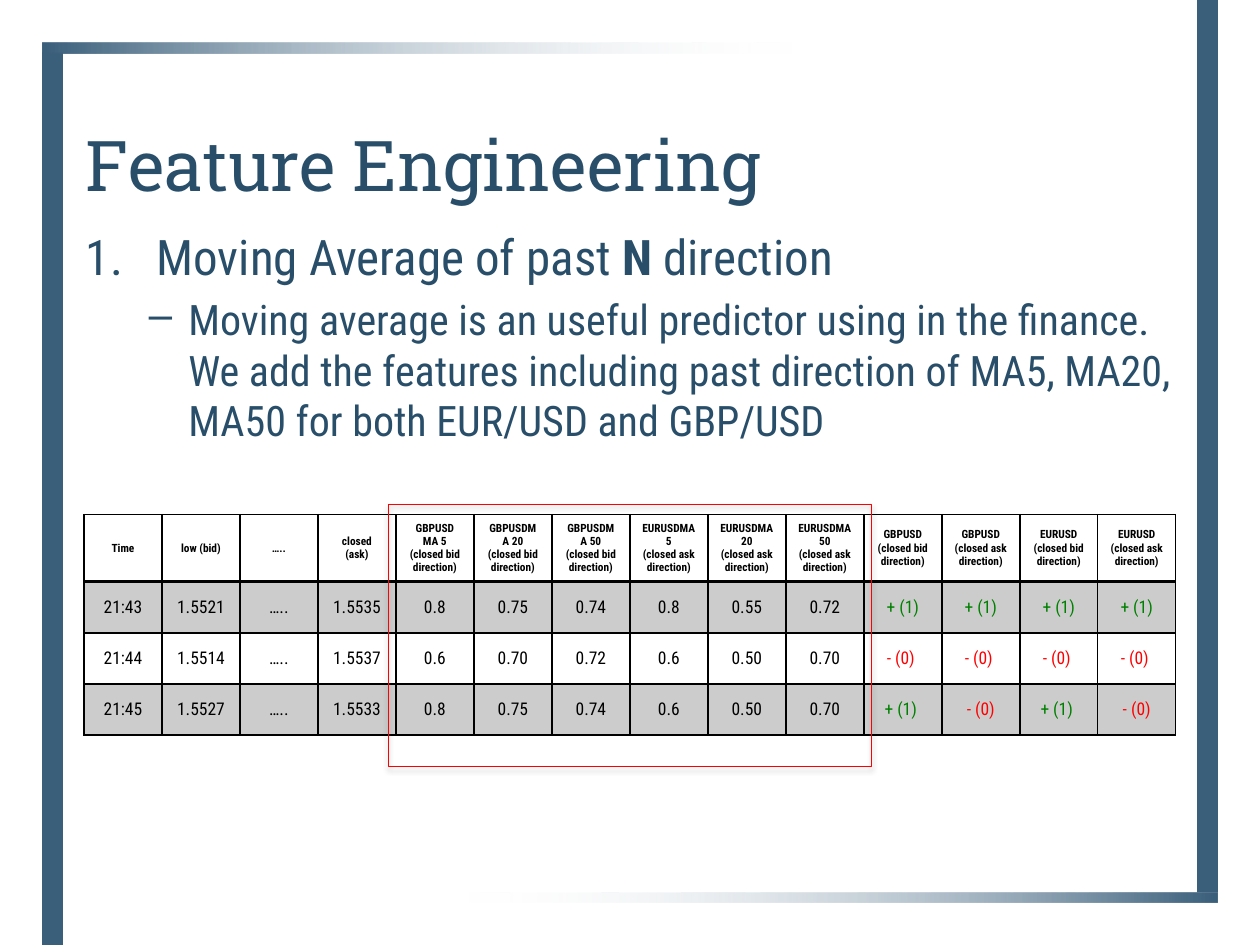
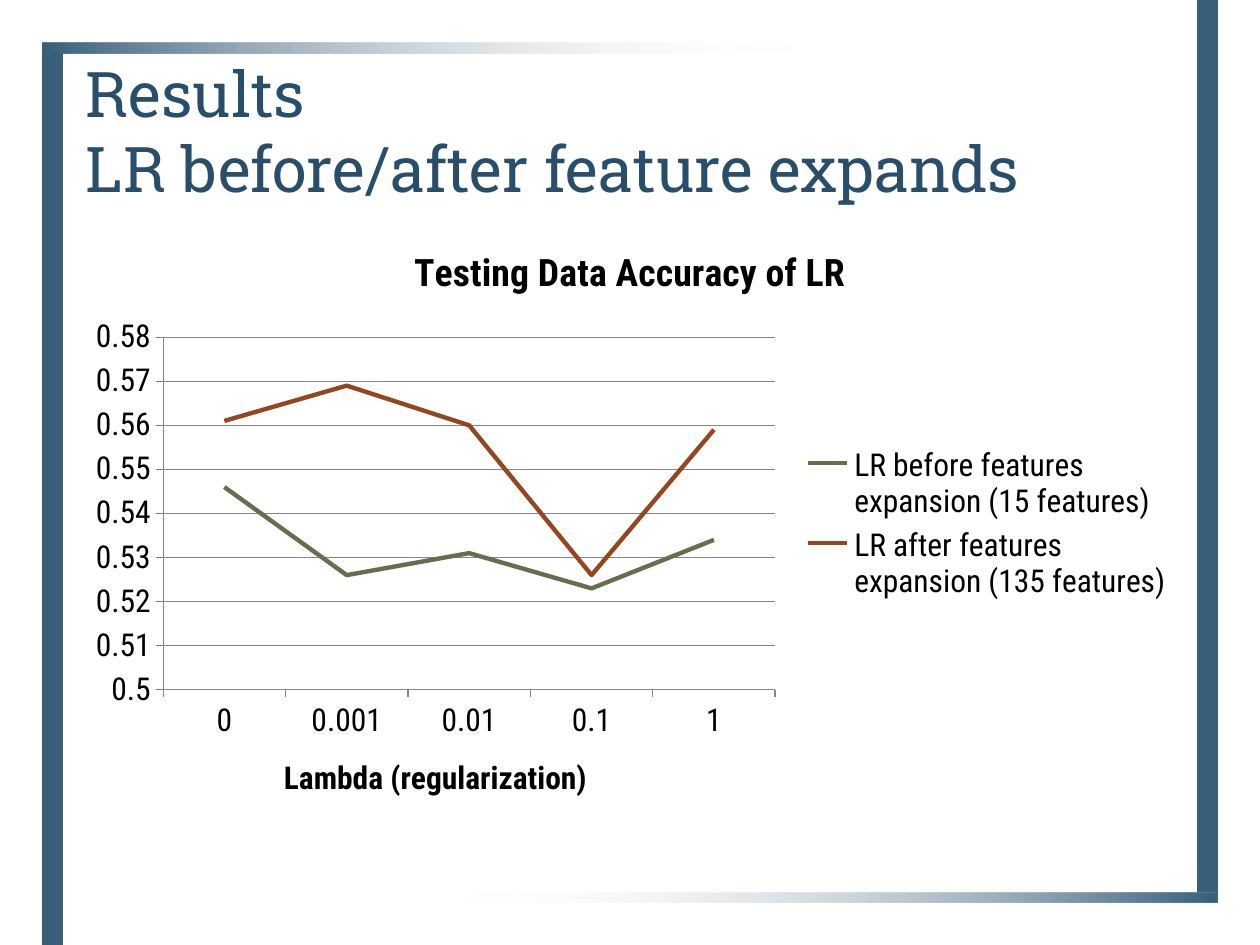
"""Build two slides on feature engineering and its results."""
import lxml.etree
import pptx
import pptx.chart.data
import pptx.dml.color
import pptx.enum.chart
import pptx.enum.shapes
import pptx.enum.text
import pptx.oxml.ns
import pptx.util

Pt = pptx.util.Pt
qn = pptx.oxml.ns.qn

HEAD = "Feature Engineering"
POINTS = [
    dict(runs=[("Moving Average of past ", False), ("N", True), (" direction", False)],
         size="point", left=40.5, hang=40.5, gap=5.6, mark=("buAutoNum", dict(type="arabicPeriod"))),
    dict(runs=[("Moving average is an useful predictor using in the finance. We add the features "
                "including past direction of MA5, MA20, MA50 for both EUR/USD and GBP/USD", False)],
         size="sub", left=58.5, hang=22.5, gap=4.8, mark=("buChar", dict(char="–"))),
]
BID = "(closed bid direction)"
ASK = "(closed ask direction)"
SPLIT = ["(closed ask", "direction)"]
COLS = [
    ["Time"], ["low (bid)"], ["….."], ["closed (ask)"],
    ["GBPUSD", "MA 5", BID], ["GBPUSDMA 20", BID], ["GBPUSDMA 50", BID],
    ["EURUSDMA 5", *SPLIT], ["EURUSDMA 20", *SPLIT], ["EURUSDMA 50", *SPLIT],
    ["GBPUSD", BID], ["GBPUSD", ASK], ["EURUSD", BID], ["EURUSD", ASK],
]
ROWS = [
    ["21:43", "1.5521", "…..", "1.5535", "0.8", "0.75", "0.74", "0.8", "0.55", "0.72",
     "+ (1)", "+ (1)", "+ (1)", "+ (1)"],
    ["21:44", "1.5514", "…..", "1.5537", "0.6", "0.70", "0.72", "0.6", "0.50", "0.70",
     "- (0) ", "- (0) ", "- (0) ", "- (0) "],
    ["21:45", "1.5527", "…..", "1.5533", "0.8", "0.75", "0.74", "0.6", "0.50", "0.70",
     "+ (1) ", "- (0)", "+ (1) ", "- (0)"],
]
RESULT = "Results \nLR before/after feature expands"
CHART = "Testing Data Accuracy of LR"
AXIS = "Lambda (regularization)"
CATS = ["0", "0.001", "0.01", "0.1", "1"]
LINES = [
    ("LR before features expansion (15 features)", [0.546, 0.526, 0.531, 0.523, 0.534], "before"),
    ("LR after features expansion (135 features)", [0.561, 0.569, 0.56, 0.526, 0.559], "after"),
]


class Theme:
    """Colours, fonts and type sizes."""
    slab = "Roboto Slab"
    body = "Roboto Condensed"
    color = dict(ink="284E6A", bar="3A5F7B", white="FFFFFF", black="000000", up="008000",
                 down="FF0000", grid="868686", before="646F4D", after="934721")
    size = dict(title=40, long=36, point=28, sub=24, cell=10, head=6.5, chart=18, label=21.6)


WIDE, HIGH = 720, 540
THICK, BAND, EDGE = 12, 6, 24
BODY = (42, 126, 636, 347)


def rgb(name):
    return pptx.dml.color.RGBColor.from_string(Theme.color[name])


def pts(box):
    return [Pt(v) for v in box]


def node(up, tag, **attrs):
    return lxml.etree.SubElement(up, qn("a:" + tag), attrs)


def fade(root, pct):
    last = list(root.iter(qn("a:srgbClr")))[-1]
    node(last, "alpha", val=str(pct * 1000))


def style(font, size, color="black", bold=False, face=Theme.body):
    font.name, font.size, font.bold = face, Pt(Theme.size[size]), bold
    font.color.rgb = rgb(color)


def write(para, text, *look, **more):
    run = para.add_run()
    run.text = text
    style(run.font, *look, **more)


def block(slide, box):
    shape = slide.shapes.add_shape(pptx.enum.shapes.MSO_SHAPE.RECTANGLE, *pts(box))
    shape.shadow.inherit = False
    shape.line.fill.background()
    return shape


def frame(slide):
    tall = HIGH - 30
    for box in [(WIDE - 36, 0, THICK, tall), (EDGE, 30, THICK, tall)]:
        bar = block(slide, box)
        bar.fill.solid()
        bar.fill.fore_color.rgb = rgb("bar")
    for left, top, angle in [(36, tall, 180), (EDGE, 24.4, 0)]:
        band = block(slide, (left, top, 660, BAND))
        band.fill.gradient()
        band.fill.gradient_angle = angle
        for stop, name, spot in zip(band.fill.gradient_stops, ("bar", "white"), (0, 0.65)):
            stop.color.rgb, stop.position = rgb(name), spot
        fade(band.element.spPr, 0)


def area(slide, box):
    text = slide.shapes.add_textbox(*pts(box)).text_frame
    text.word_wrap = True
    return text


def page(deck, title, size):
    slide = deck.slides.add_slide(deck.slide_layouts[6])
    frame(slide)
    text = area(slide, (42, 36, 636, 85))
    text.vertical_anchor = pptx.enum.text.MSO_ANCHOR.BOTTOM
    para = text.paragraphs[0]
    for i, line in enumerate(title.split("\n")):
        if i:
            para.add_line_break()
        write(para, line, size, "ink", face=Theme.slab)
    return slide


def points(slide):
    text = area(slide, BODY)
    for i, item in enumerate(POINTS):
        para = text.add_paragraph() if i else text.paragraphs[0]
        para.space_before = Pt(item["gap"])
        props = para._p.get_or_add_pPr()
        props.set("marL", str(Pt(item["left"])))
        props.set("indent", str(-Pt(item["hang"])))
        tag, attrs = item["mark"]
        node(props, tag, **attrs)
        for words, bold in item["runs"]:
            write(para, words, item["size"], "ink", bold)


def fill(cell, row, lines):
    props = cell._tc.get_or_add_tcPr()
    for side in "LRTB":
        wide = 2 if (side, row) in (("B", 0), ("T", 1)) else 1
        line = node(props, "ln" + side, w=str(Pt(wide)))
        node(node(line, "solidFill"), "srgbClr", val=Theme.color["black"])
    if row % 2:
        cell.fill.solid()
        cell.fill.fore_color.rgb = rgb("black")
        fade(props, 20)
    else:
        cell.fill.background()
    cell.vertical_anchor = pptx.enum.text.MSO_ANCHOR.MIDDLE
    for i, words in enumerate(lines):
        para = cell.text_frame.add_paragraph() if i else cell.text_frame.paragraphs[0]
        para.alignment = pptx.enum.text.PP_ALIGN.CENTER
        color = {"+": "up", "-": "down"}.get(words[0], "black")
        write(para, words, "cell" if row else "head", color, not row)


def grid(slide):
    data = [COLS] + [[[v] for v in row] for row in ROWS]
    box = (48, 294, 624, 125)
    table = slide.shapes.add_table(len(data), len(COLS), *pts(box)).table
    table.first_row = table.horz_banding = False
    for col in table.columns:
        col.width = Pt(box[2] / len(COLS))
    for r, row in enumerate(data):
        table.rows[r].height = Pt(29.2 if r else 37.4)
        for c, lines in enumerate(row):
            fill(table.cell(r, c), r, lines)


def focus(slide):
    box = block(slide, (222, 288, 276, 150))
    box.fill.background()
    box.line.color.rgb = rgb("down")
    box.line.width = Pt(0.5)
    glow = node(box.element.spPr.find(qn("a:effectLst")), "outerShdw", blurRad=str(Pt(3.1)),
                dist=str(Pt(2)), dir="5400000", rotWithShape="0")
    node(glow, "srgbClr", val=Theme.color["black"])
    fade(glow, 35)


def label(owner, words, size):
    text = owner.text_frame
    write(text.paragraphs[0], words, size, bold=True)


def plot(slide):
    kinds = pptx.enum.chart
    data = pptx.chart.data.CategoryChartData()
    data.categories = CATS
    for name, vals, _ in LINES:
        data.add_series(name, vals)
    chart = slide.shapes.add_chart(kinds.XL_CHART_TYPE.LINE, *pts(BODY), data).chart
    style(chart.font, "chart")
    chart.has_title = True
    label(chart.chart_title, CHART, "label")
    chart.has_legend = True
    chart.legend.position = kinds.XL_LEGEND_POSITION.RIGHT
    chart.legend.include_in_layout = False
    chart.plots[0].vary_by_categories = False
    for line, (_, _, color) in zip(chart.plots[0].series, LINES):
        line.smooth = False
        line.marker.style = kinds.XL_MARKER_STYLE.NONE
        line.format.line.color.rgb = rgb(color)
        line.format.line.width = Pt(2.5)
    cat, val = chart.category_axis, chart.value_axis
    label(cat.axis_title, AXIS, "chart")
    val.minimum_scale, val.maximum_scale, val.major_unit = 0.5, 0.58, 0.01
    val.has_major_gridlines = True
    val.tick_labels.number_format = "General"
    val.tick_labels.number_format_is_linked = False
    for axis in (cat, val):
        axis.major_tick_mark = kinds.XL_TICK_MARK.OUTSIDE
    for part in (cat, val, val.major_gridlines):
        part.format.line.color.rgb = rgb("grid")
        part.format.line.width = Pt(0.75)


def main():
    deck = pptx.Presentation()
    deck.slide_width, deck.slide_height = Pt(WIDE), Pt(HIGH)
    first = page(deck, HEAD, "title")
    points(first)
    grid(first)
    focus(first)
    plot(page(deck, RESULT, "long"))
    deck.save("out.pptx")


if __name__ == "__main__":
    main()
